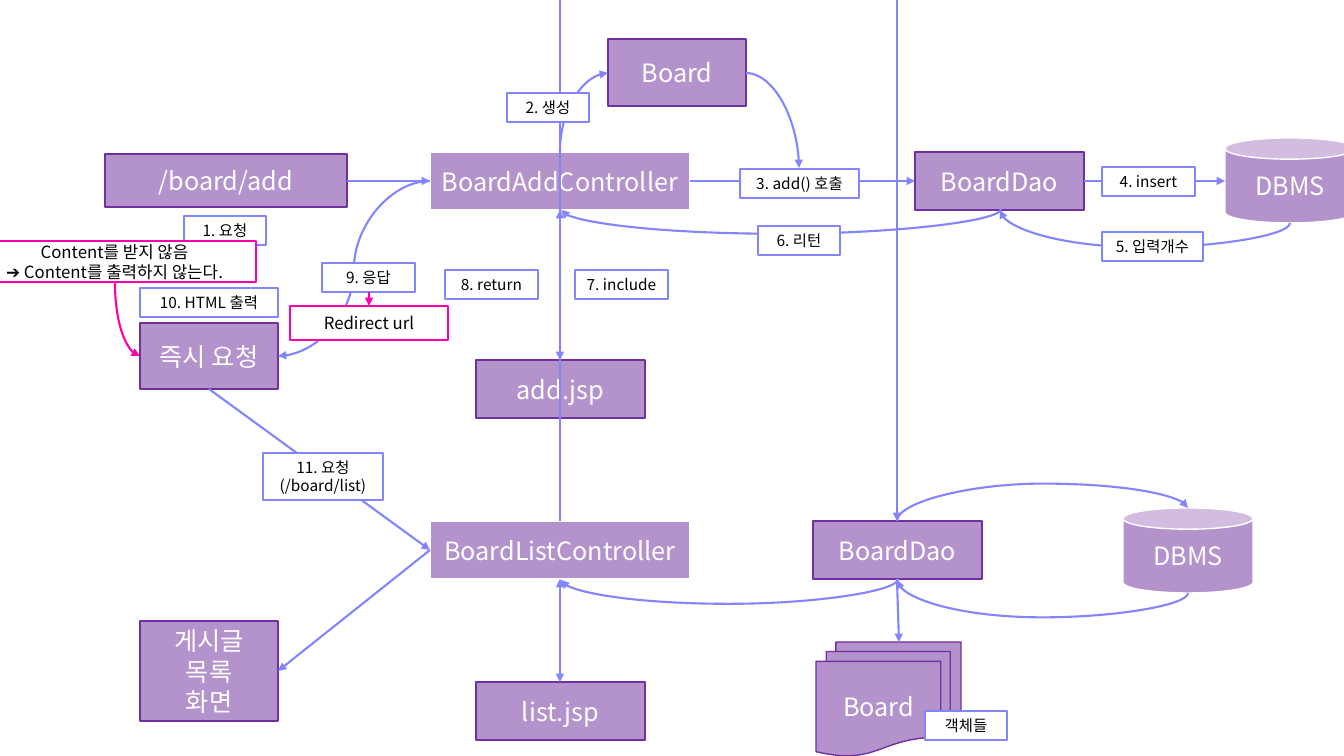
from lxml import etree
from pptx import Presentation
from pptx.dml.color import RGBColor
from pptx.enum.shapes import MSO_CONNECTOR, MSO_SHAPE
from pptx.enum.text import MSO_ANCHOR, MSO_AUTO_SIZE, PP_ALIGN
from pptx.oxml.ns import qn
from pptx.util import Pt

RECT, CAN, DOCUMENTS = MSO_SHAPE.RECTANGLE, MSO_SHAPE.CAN, MSO_SHAPE.FLOWCHART_MULTIDOCUMENT
STRAIGHT, CURVE = MSO_CONNECTOR.STRAIGHT, MSO_CONNECTOR.CURVE
MIDDLE, TOP, CENTER = MSO_ANCHOR.MIDDLE, MSO_ANCHOR.TOP, PP_ALIGN.CENTER
GROW = MSO_AUTO_SIZE.SHAPE_TO_FIT_TEXT

PX = 12192000 / 1344
THEME = {
    "font": "Noto Sans CJK KR",
    "purple": RGBColor(0x70, 0x30, 0xA0),
    "blue": RGBColor(0x83, 0x85, 0xFF),
    "pink": RGBColor(0xFF, 0x00, 0xA8),
    "white": RGBColor(0xFF, 0xFF, 0xFF),
    "black": RGBColor(0, 0, 0),
    "node_alpha": 52000,
    "node_size": Pt(18),
    "label_size": Pt(11),
    "note_size": Pt(12),
    "border": Pt(1),
    "arrow": Pt(1.5),
}

deck = Presentation()
deck.slide_width, deck.slide_height = int(1344 * PX), int(756 * PX)
slide = deck.slides.add_slide(deck.slide_layouts[6])


def add_box(kind, bounds, text, fill, border, size, color):
    box = slide.shapes.add_shape(kind, *(int(length * PX) for length in bounds))
    box.shadow.inherit = False
    box.fill.solid()
    box.fill.fore_color.rgb = THEME[fill]
    box.line.color.rgb = THEME[border]
    box.line.width = THEME["border"]
    frame = box.text_frame
    frame.word_wrap = True
    frame.vertical_anchor = MIDDLE
    frame.text = text
    for para in frame.paragraphs:
        para.alignment = CENTER
        para.font.name = THEME["font"]
        para.font.size = THEME[size]
        para.font.color.rgb = THEME[color]
        defaults = para._p.pPr.find(qn("a:defRPr"))
        etree.SubElement(defaults, qn("a:ea"), typeface=THEME["font"])
    return box


def add_line(start, end, color="blue", ends=("tailEnd",), curve=None, upright=False, bulge=None):
    """Upright curves leave their start vertically; bulge is the crest's fraction of the way."""
    (x1, y1), (x2, y2) = start, end
    if upright:
        # A quarter turn swaps the two sides of the box around its centre
        middle_x, middle_y = (x1 + x2) / 2, (y1 + y2) / 2
        half_x, half_y = (x2 - x1) / 2, (y2 - y1) / 2
        x1, x2 = middle_x - half_y, middle_x + half_y
        y1, y2 = middle_y + half_x, middle_y - half_x
    kind = CURVE if curve else STRAIGHT
    line = slide.shapes.add_connector(kind, *(int(length * PX) for length in (x1, y1, x2, y2)))
    line.line.color.rgb = THEME[color]
    line.line.width = THEME["arrow"]
    properties = line._element.spPr
    outline = properties.find(qn("a:ln"))
    for name in ends:
        etree.SubElement(outline, qn("a:" + name), type="triangle")
    etree.SubElement(properties, qn("a:effectLst"))
    if upright:
        properties.find(qn("a:xfrm")).set("rot", "5400000")
    if curve:
        geometry = properties.find(qn("a:prstGeom"))
        geometry.set("prst", curve)
        if bulge is not None:
            guides = geometry.find(qn("a:avLst"))
            etree.SubElement(guides, qn("a:gd"), name="adj1", fmla=f"val {round(bulge * 100000)}")


# Components of the add flow (top) and the list flow (bottom)
nodes = [
    (RECT, (105, 154, 242, 53), "/board/add", "purple"),
    (RECT, (430, 152, 260, 58), "BoardAddController", "white"),
    (RECT, (915, 152, 169, 58), "BoardDao", "purple"),
    (CAN, (1225, 138, 130, 85), "DBMS", "white"),
    (RECT, (608, 39, 138, 67), "Board", "purple"),
    (RECT, (476, 360, 169, 58), "add.jsp", "purple"),
    (RECT, (140, 323, 138, 66), "즉시 요청", "purple"),
    (RECT, (430, 521, 260, 58), "BoardListController", "white"),
    (RECT, (476, 682, 169, 58), "list.jsp", "purple"),
    (RECT, (140, 621, 138, 100), "게시글\n목록\n화면", "purple"),
    (RECT, (813, 521, 169, 58), "BoardDao", "purple"),
    (CAN, (1123, 508, 130, 85), "DBMS", "white"),
    (DOCUMENTS, (816, 642, 145, 114), "Board", "purple"),
]
for kind, bounds, text, border in nodes:
    box = add_box(kind, bounds, text, "purple", border, "node_size", "white")
    color = box.fill._xPr.find(qn("a:solidFill"))[0]
    etree.SubElement(color, qn("a:alpha"), val=str(THEME["node_alpha"]))

# Straight arrows
for start, end in [
    ((690, 181), (915, 181)),
    ((1084, 181), (1225, 181)),
    ((347, 181), (430, 181)),
    ((209, 389), (430, 550)),
    ((430, 550), (278, 671)),
    ((897, 579), (899, 642)),
    ((897, 0), (897, 521)),
]:
    add_line(start, end)
add_line((560, 521), (560, 0), ends=())

# Two-way arrows between controllers and pages
for top, bottom in [(210, 360), (579, 682)]:
    add_line((560, top), (560, bottom), ends=("headEnd", "tailEnd"))

# Quarter curves to and from the Board object
add_line((560, 152), (608, 73), curve="curvedConnector2", upright=True)
add_line((746, 73), (799, 168), curve="curvedConnector2")

# Response curve and the arcs that crest above or below their ends
add_line((430, 181), (278, 356), curve="curvedConnector3", bulge=0.5)
for start, end, bulge in [
    ((1290, 223), (1000, 210), -1.87),
    ((1001, 209), (561, 210), 25),
    ((897, 521), (1188, 508), 2.87),
    ((1188, 593), (897, 580), -1.87),
    ((898, 579), (561, 580), 25),
]:
    add_line(start, end, curve="curvedConnector3", upright=True, bulge=bulge)

# Step labels
labels = [
    ((925, 711, 82, 29), "객체들"),
    ((184, 216, 82, 29), "1. 요청"),
    ((507, 93, 82, 29), "2. 생성"),
    ((740, 169, 119, 29), "3. add() 호출"),
    ((1102, 167, 93, 29), "4. insert"),
    ((1102, 232, 101, 29), "5. 입력개수"),
    ((758, 226, 82, 29), "6. 리턴"),
    ((575, 270, 93, 29), "7. include"),
    ((445, 270, 93, 29), "8. return"),
    ((322, 263, 93, 29), "9. 응답"),
    ((140, 288, 138, 29), "10. HTML 출력"),
    ((263, 453, 120, 47), "11. 요청\n(/board/list)"),
]
for bounds, text in labels:
    label = add_box(RECT, bounds, text, "white", "blue", "label_size", "black")
    label.text_frame.vertical_anchor = TOP
    label.text_frame.auto_size = GROW

# Redirect notes
for bounds, text in [
    ((290, 306, 158, 34), "Redirect url"),
    ((-27, 241, 283, 41), "Content를 받지 않음\n➔ Content를 출력하지 않는다."),
]:
    add_box(RECT, bounds, text, "white", "pink", "note_size", "black")
add_line((369, 292), (369, 306), "pink")
add_line((115, 282), (140, 356), "pink", curve="curvedConnector2", upright=True)

deck.save("out.pptx")
